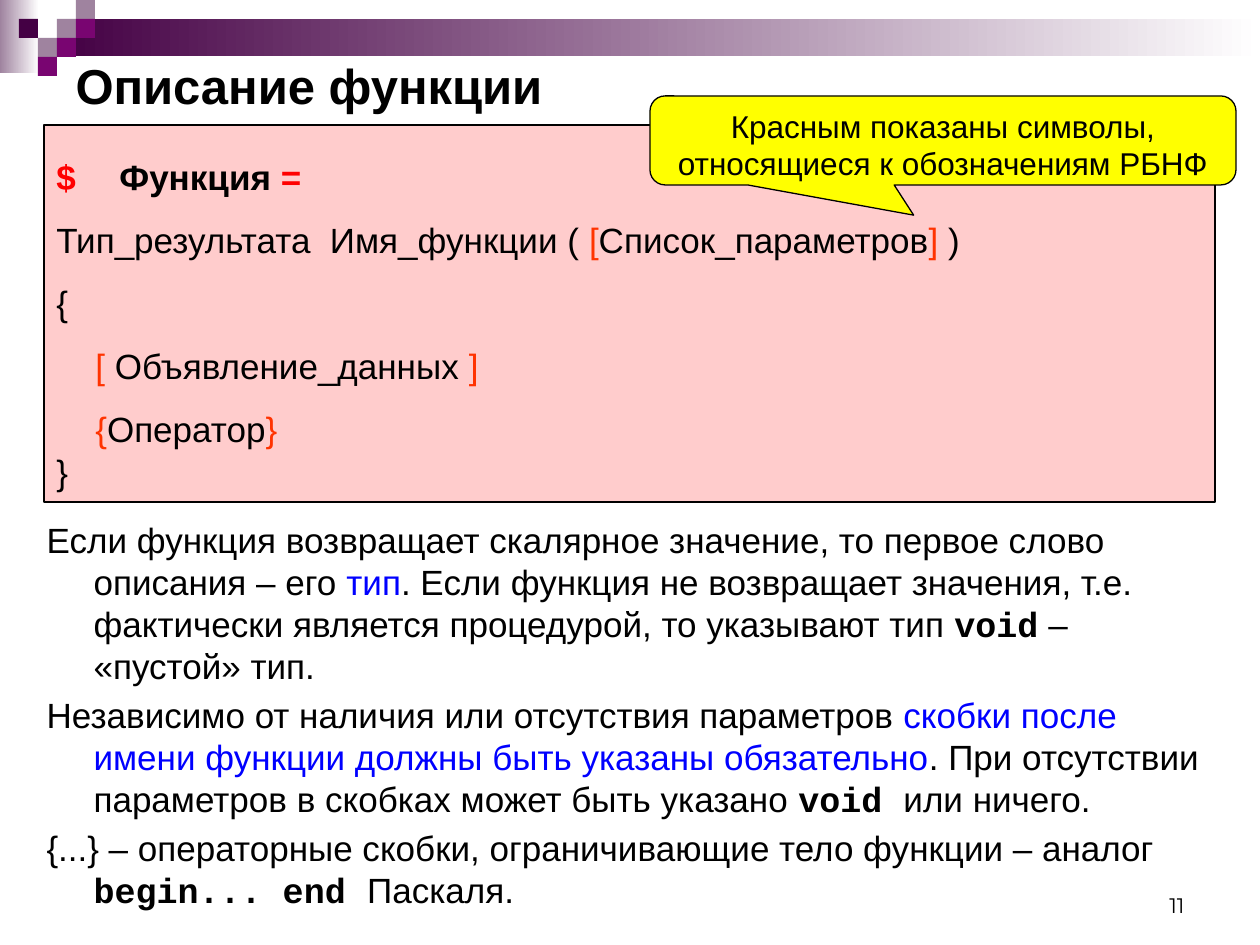
from lxml import etree
from pptx import Presentation
from pptx.dml.color import RGBColor
from pptx.enum.shapes import MSO_SHAPE
from pptx.enum.text import MSO_ANCHOR, MSO_AUTO_SIZE, PP_ALIGN
from pptx.oxml.ns import qn
from pptx.util import Pt

RECT = MSO_SHAPE.RECTANGLE
CALLOUT = MSO_SHAPE.ROUNDED_RECTANGULAR_CALLOUT
TOP, MID, LOW = MSO_ANCHOR.TOP, MSO_ANCHOR.MIDDLE, MSO_ANCHOR.BOTTOM
LEFT, CENTER, RIGHT = PP_ALIGN.LEFT, PP_ALIGN.CENTER, PP_ALIGN.RIGHT
FIXED = MSO_AUTO_SIZE.NONE
PX = 914400 / 126
TILE = 19
COLORS = {
    "black": "000000", "white": "FFFFFF", "blue": "0000FF", "red": "FF0000",
    "mark": "FF3300", "pink": "FFCCCC", "yellow": "FFFF00",
    "dark": "440044", "plum": "790571", "mauve": "9F839F",
}


def emu(px):
    return round(px * PX)


def tint(name):
    return RGBColor.from_string(COLORS[name])


def write(par, text, size=20, color="black", bold=False, font="Arial"):
    run = par.add_run()
    run.text = text
    run.font.size = Pt(size)
    run.font.name = font
    run.font.bold = bold
    run.font.color.rgb = tint(color)


class Page:
    def __init__(self, deck):
        self.slide = deck.slides.add_slide(deck.slide_layouts[1])

    def place(self, item, x, y, w, h):
        item.left, item.top, item.width, item.height = map(emu, (x, y, w, h))
        return item

    def shape(self, kind, x, y, w, h, fill, line=None):
        item = self.slide.shapes.add_shape(kind, *map(emu, (x, y, w, h)))
        item.shadow.inherit = False
        if isinstance(fill, tuple):
            item.fill.gradient()
            item.fill.gradient_angle = 0
            for stop, name in zip(item.fill.gradient_stops, fill):
                stop.color.rgb = tint(name)
        else:
            item.fill.solid()
            item.fill.fore_color.rgb = tint(fill)
        if line:
            item.line.color.rgb = tint(line)
            item.line.width = Pt(0.75)
        else:
            item.line.fill.background()
        return item

    def holder(self, index, *box):
        return self.place(self.slide.placeholders[index], *box)

    def label(self, *box):
        return self.slide.shapes.add_textbox(*map(emu, box))

    def fill(self, item, rows, align=LEFT, anchor=TOP, gap=0, hang=0):
        frame = item.text_frame
        frame.word_wrap = True
        frame.auto_size = FIXED
        frame.vertical_anchor = anchor
        for i, (runs, space, inset, tab) in enumerate(rows):
            par = frame.paragraphs[0] if i == 0 else frame.add_paragraph()
            par.alignment = align
            par.line_spacing = space
            par.space_before = Pt(gap)
            props = par._p.get_or_add_pPr()
            props.set("marL", str(emu(inset + hang)))
            props.set("indent", str(emu(-hang)))
            etree.SubElement(props, qn("a:buNone"))
            if tab:
                stops = etree.SubElement(props, qn("a:tabLst"))
                etree.SubElement(stops, qn("a:tab"), pos=str(emu(tab)), algn="l")
            for text, style in runs:
                write(par, text, **style)


def row(*runs, space=1.0, inset=0, tab=0):
    pairs = [(r, {}) if isinstance(r, str) else r for r in runs]
    return pairs, space, inset, tab


def mark(text):
    return text, {"color": "mark"}


def blue(text):
    return text, {"color": "blue"}


def code(text):
    return text, {"bold": True, "font": "Courier New"}


def head(text, color="black"):
    return text, {"bold": True, "color": color}


deck = Presentation()
deck.slide_width, deck.slide_height = emu(1260), emu(945)
page = Page(deck)

page.shape(RECT, 0, 0, 39, 73, ("mauve", "white"))
page.shape(RECT, 57, 19, 1203, 37, ("dark", "white"))
TILES = [
    (3, 1, "mauve"), (4, 0, "mauve"), (4, 1, "plum"), (2, 2, "mauve"),
    (1, 1, "dark"), (3, 2, "plum"), (2, 3, "plum"),
]
for col, line, color in TILES:
    page.shape(RECT, col * TILE, line * TILE, TILE, TILE, color)

number = page.label(903, 861, 294, 63)
page.fill(number, [row(("11", {"size": 12, "font": "Montserrat"}))], RIGHT, LOW)

title = page.holder(0, 63, 63, 1134, 43)
page.fill(title, [row(("Описание функции", {"size": 28, "bold": True}))], anchor=MID)

body = page.holder(1, 34, 512, 1191, 397)
page.fill(body, [
    row("Если функция возвращает скалярное значение, то первое слово описания – его ",
        blue("тип"),
        ". Если функция не возвращает значения, т.е. фактически является "
        "процедурой, то указывают тип ",
        code("void"), " – «пустой» тип."),
    row("Независимо от наличия или отсутствия параметров ",
        blue("скобки после имени функции должны быть указаны обязательно"),
        ". При отсутствии параметров в скобках может быть указано ",
        code("void "), "или ничего."),
    row("{...} – операторные скобки, ограничивающие тело функции – аналог ",
        code("begin... end "), "Паскаля."),
], gap=4, hang=47)

syntax = page.shape(RECT, 44, 125, 1171, 377, "pink", "black")
page.fill(syntax, [
    row(head("$", "red"), head("\tФункция "), head("=", "red"), space=1.5, tab=49),
    row("Тип_результата  Имя_функции ( ", mark("["), "Список_параметров",
        mark("]"), " )", space=1.5),
    row("{", space=1.5),
    row(mark("[ "), "Объявление_данных ", mark("]"), space=1.5, inset=39),
    row(mark("{"), "Оператор", mark("}"), space=1.5, inset=39),
    row("}"),
], anchor=MID)

note = page.shape(CALLOUT, 650, 96, 586, 89, "yellow", "black")
for i, value in enumerate((-0.05, 0.84, 0.17)):
    note.adjustments[i] = value
page.fill(note, [row(("Красным показаны символы, относящиеся к обозначениям РБНФ",
                      {"size": 18}))], CENTER)

deck.save("out.pptx")
